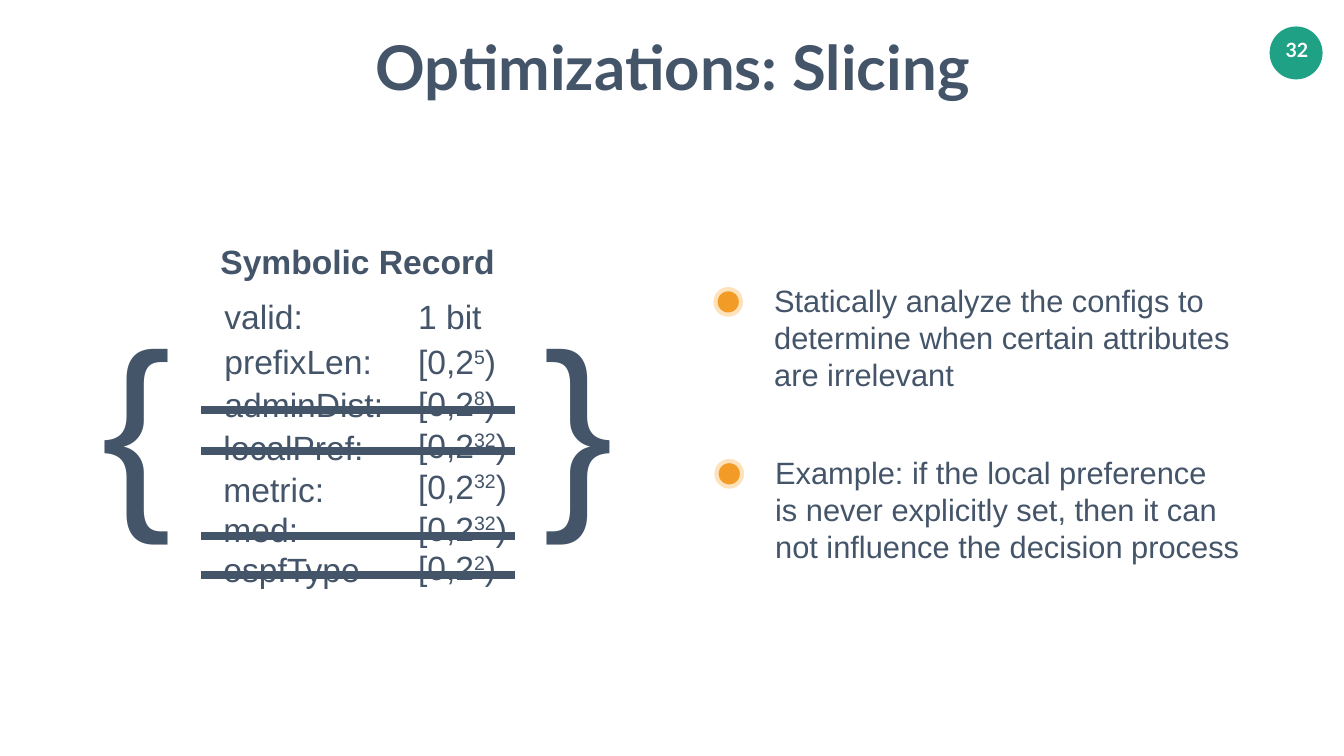
from pptx import Presentation
from pptx.dml.color import RGBColor
from pptx.enum import shapes, text
from pptx.oxml.ns import qn
from pptx.util import Inches, Pt

SLATE = RGBColor(0x44, 0x54, 0x69)
GREEN = RGBColor(0x1E, 0xA1, 0x85)
ORANGE = RGBColor(0xF2, 0x9B, 0x27)
PEACH = RGBColor(0xFD, 0xE2, 0xBB)
WHITE = RGBColor(0xFF, 0xFF, 0xFF)

TITLE = "Optimizations: Slicing"
PAGE_NUMBER = "32"
RECORD_TITLE = "Symbolic Record"

# (name, left, top, width), (value, exponent, top, width), height of the strike line
RECORD = [
    (("valid:", 4.4, 5.82, 1.67), ("1 bit", None, 5.82, 1.37), None),
    (("prefixLen:", 4.4, 6.72, 3.04), ("[0,2", "5", 6.72, 1.7), None),
    (("adminDist:", 4.4, 7.57, 3.26), ("[0,2", "8", 7.54, 1.7), 8.13),
    (("localPref:", 4.38, 8.42, 2.89), ("[0,2", "32", 8.38, 1.94), 8.95),
    (("metric:", 4.38, 9.26, 2.11), ("[0,2", "32", 9.2, 1.94), None),
    (("med:", 4.38, 10.05, 1.6), ("[0,2", "32", 10.02, 1.94), 10.63),
    (("ospfType", 4.38, 10.85, 2.82), ("[0,2", "2", 10.81, 1.7), 11.41),
]
VALUE_LEFT, ROW_HEIGHT = 8.24, 0.91
STRIKE_LEFT, STRIKE_RIGHT = 3.99, 10.21
BRACES = [("{", 1.97), ("}", 10.73)]

# text left, text top, centre of the bullet, lines
POINTS = [
    (15.3, 5.54, (14.44, 5.99), ["Statically analyze the configs to",
                                 "determine when certain attributes",
                                 "are irrelevant"]),
    (15.32, 8.95, (14.46, 9.4), ["Example: if the local preference",
                                 "is never explicitly set, then it can",
                                 "not influence the decision process"]),
]
BULLET_RINGS = [(0.59, PEACH), (0.42, ORANGE)]


def add_text(page, at, lines, size, font="Arial", color=SLATE, bold=False,
             centred=False, inset=0.05):
    """Each line is a list of (words, is_superscript) runs."""
    box = page.shapes.add_textbox(*map(Inches, at))
    frame = box.text_frame
    frame.word_wrap = False
    frame.auto_size = text.MSO_AUTO_SIZE.SHAPE_TO_FIT_TEXT
    frame.margin_left = frame.margin_right = Inches(inset)
    frame.margin_top = frame.margin_bottom = Inches(inset)
    for index, line in enumerate(lines):
        para = frame.add_paragraph() if index else frame.paragraphs[0]
        para.alignment = text.PP_ALIGN.CENTER if centred else text.PP_ALIGN.LEFT
        for words, is_superscript in line:
            span = para.add_run()
            span.text = words
            span.font.size = Pt(size)
            span.font.name = font
            span.font.bold = bold
            span.font.color.rgb = color
            if is_superscript:
                span.font._element.set("baseline", "32000")


def add_disc(page, centre, diameter, color):
    x, y = centre
    disc = page.shapes.add_shape(
        shapes.MSO_SHAPE.OVAL, Inches(x - diameter / 2), Inches(y - diameter / 2),
        Inches(diameter), Inches(diameter))
    disc.shadow.inherit = False
    disc.fill.solid()
    disc.fill.fore_color.rgb = color
    disc.line.fill.background()


def add_strike(page, y):
    strike = page.shapes.add_connector(
        shapes.MSO_CONNECTOR.STRAIGHT, Inches(STRIKE_LEFT), Inches(y),
        Inches(STRIKE_RIGHT), Inches(y))
    strike.line.color.rgb = SLATE
    strike.line.width = Pt(11)
    properties = strike._element.spPr
    properties.append(properties.makeelement(qn("a:effectLst"), {}))


def main():
    deck = Presentation()
    deck.slide_width, deck.slide_height = Inches(26.65), Inches(15)
    page = deck.slides.add_slide(deck.slide_layouts[6])

    add_disc(page, (25.7, 1.05), 1.05, GREEN)
    add_text(page, (25.39, 0.66, 0.65, 0.67), [[(PAGE_NUMBER, False)]], 28,
             font="Lato", color=WHITE, bold=True, centred=True, inset=0.1)
    add_text(page, (6.86, 0.53, 12.95, 1.57), [[(TITLE, False)]], 88,
             font="Lato", bold=True, centred=True)

    add_text(page, (4.32, 4.73, 5.56, ROW_HEIGHT), [[(RECORD_TITLE, False)]], 48, bold=True)
    for brace, left in BRACES:
        add_text(page, (left, 5.74, 1.51, 5.1), [[(brace, False)]], 300)
    for (name, left, top, width), (value, exponent, value_top, value_width), _ in RECORD:
        add_text(page, (left, top, width, ROW_HEIGHT), [[(name, False)]], 48)
        runs = [(value, False)]
        if exponent:
            runs += [(exponent, True), (")", False)]
        add_text(page, (VALUE_LEFT, value_top, value_width, ROW_HEIGHT), [runs], 48)
    for _, _, strike_y in RECORD:
        if strike_y:
            add_strike(page, strike_y)

    for left, top, centre, lines in POINTS:
        for diameter, color in BULLET_RINGS:
            add_disc(page, centre, diameter, color)
        add_text(page, (left, top, 9.32, 2.31), [[(line, False)] for line in lines], 44)

    deck.save("out.pptx")


if __name__ == "__main__":
    main()
